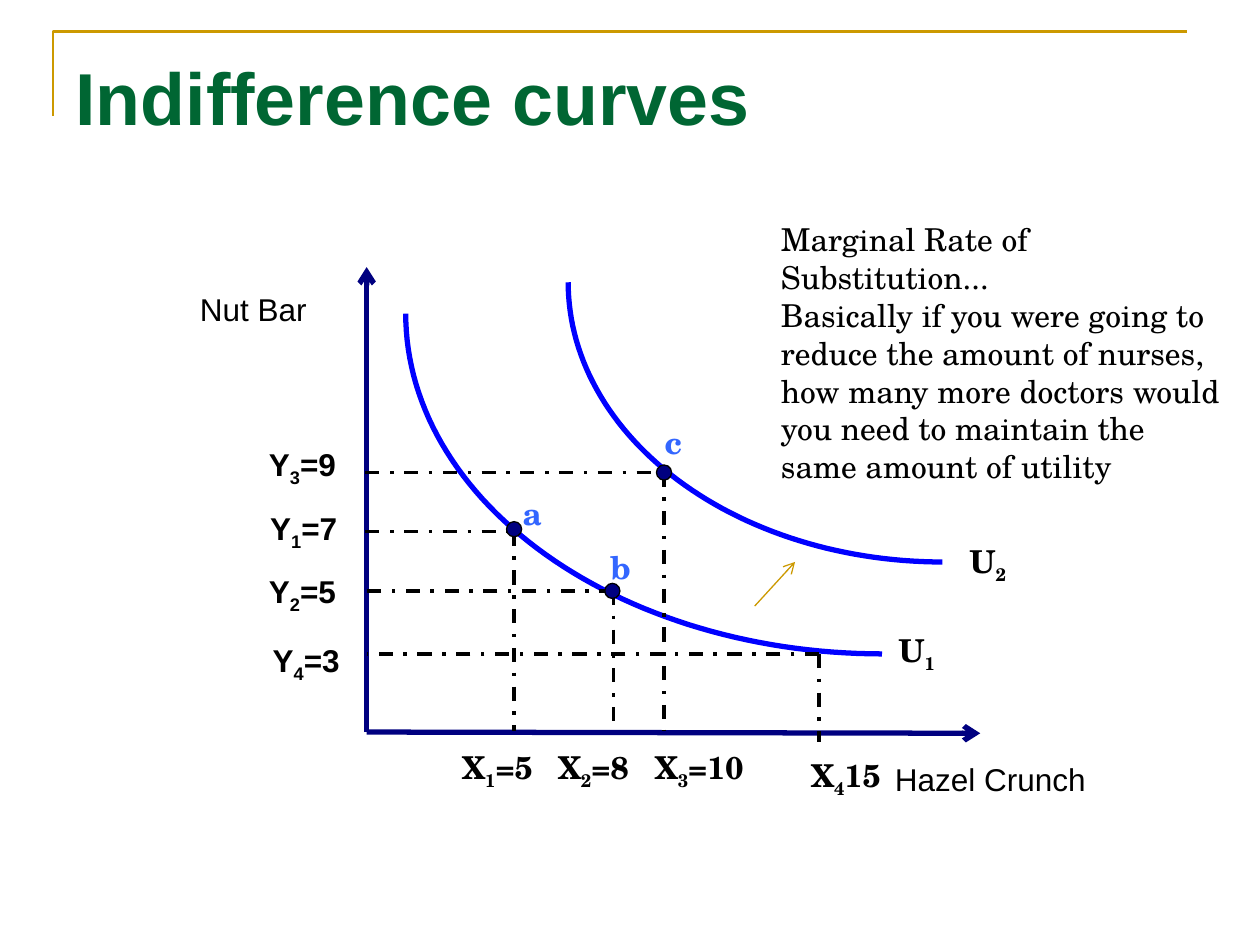
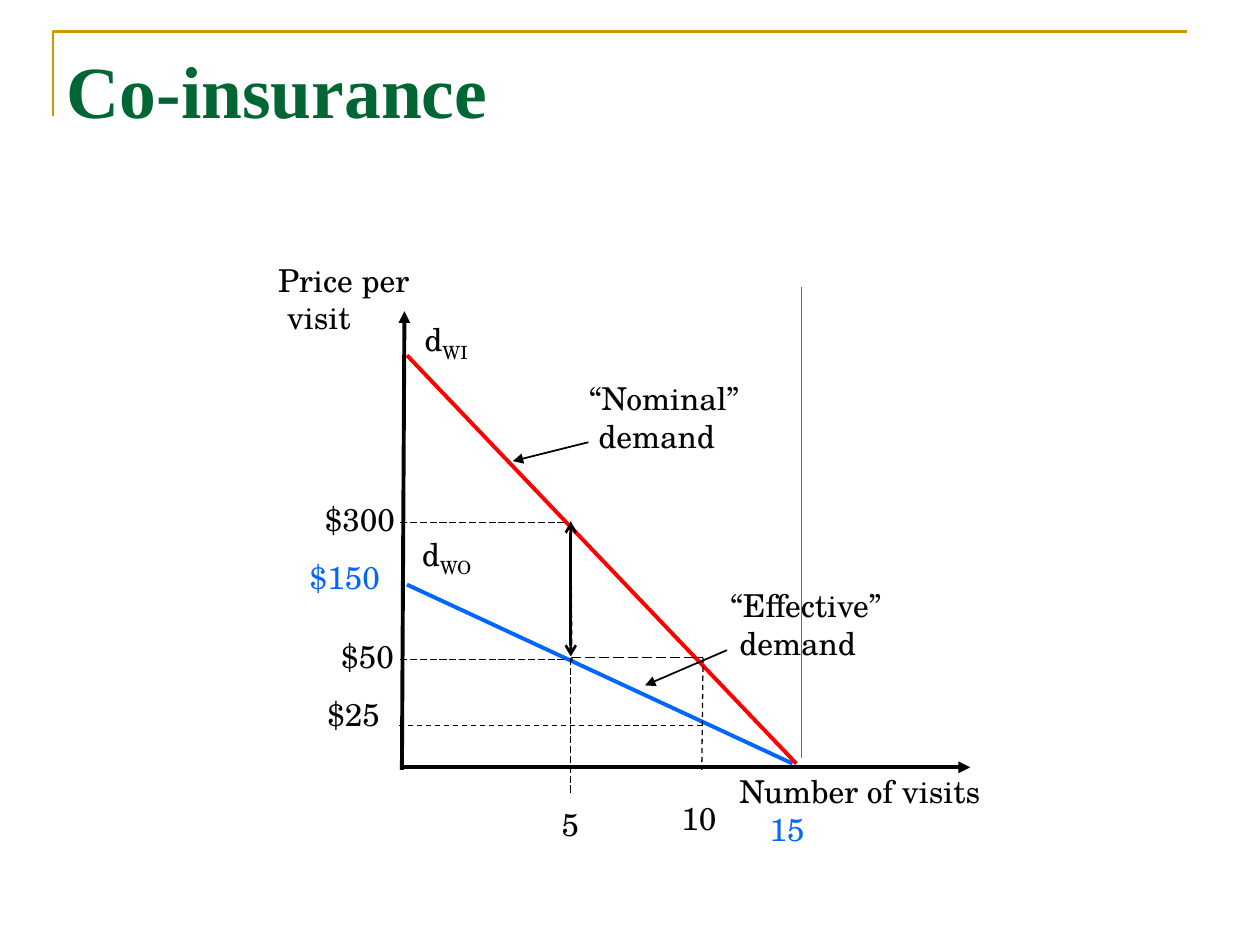
import math
from dataclasses import dataclass

from pptx import Presentation
from pptx import util as u
from pptx.dml import color as dml
from pptx.enum import dml as lines, shapes, text
from pptx.oxml import ns, xmlchemy

PX = 9144  # EMU in one px, 100 px to the inch


@dataclass(frozen=True)
class Theme:
    gold: str = "CC9900"
    green: str = "006633"
    navy: str = "000080"
    curve: str = "0000FF"
    letter: str = "3366FF"
    blue: str = "0066FF"
    red: str = "FF0000"
    pink: str = "FF00FF"
    black: str = "000000"
    ink: str = "040404"
    white: str = "FFFFFF"
    sans: str = "Arial"
    serif: str = "TeX Gyre Schola"
    roman: str = "Times New Roman"
    title_size: int = 42
    body_size: int = 18


theme = Theme()
rgb = dml.RGBColor.from_string
CENTER, LEFT = text.PP_ALIGN.CENTER, text.PP_ALIGN.LEFT
DASH, LONG = lines.MSO_LINE.DASH, lines.MSO_LINE.LONG_DASH
DASH_DOT = lines.MSO_LINE.DASH_DOT


def add_label(page, at, paragraphs, font=theme.serif, color=theme.ink, bold=False,
              align=LEFT, wrap=False, inset=(10, 5), fill=None):
    """Each paragraph is a tuple of runs; the second run is a subscript."""
    box = page.shapes.add_textbox(*(value * PX for value in at))
    if fill:
        box.fill.solid()
        box.fill.fore_color.rgb = rgb(fill)
    across, down = (value * PX for value in inset)
    frame_format = {"margin_left": across, "margin_right": across,
                    "margin_top": down, "margin_bottom": down, "word_wrap": wrap,
                    "auto_size": text.MSO_AUTO_SIZE.SHAPE_TO_FIT_TEXT}
    for name, value in frame_format.items():
        setattr(box.text_frame, name, value)
    font_format = {"name": font, "size": u.Pt(theme.body_size), "bold": bold}
    for number, runs in enumerate(paragraphs):
        para = box.text_frame.add_paragraph() if number else box.text_frame.paragraphs[0]
        para.alignment = align
        for position, words in enumerate(runs):
            span = para.add_run()
            span.text = words
            for name, value in font_format.items():
                setattr(span.font, name, value)
            span.font.color.rgb = rgb(color)
            if position == 1:
                span._r.get_or_add_rPr().set("baseline", "-25000")
    return box


def add_line(page, ends, color, width, dash=None, head=None, tail=None):
    wire = page.shapes.add_connector(shapes.MSO_CONNECTOR.STRAIGHT,
                                     *(value * PX for value in ends))
    wire.line.color.rgb = rgb(color)
    wire.line.width = u.Pt(width)
    if dash:
        wire.line.dash_style = dash
    outline = wire.element.spPr.find(ns.qn("a:ln"))
    for tag, kind in (("a:headEnd", head), ("a:tailEnd", tail)):
        if kind:
            arrow = xmlchemy.OxmlElement(tag)
            arrow.set("type", kind)
            outline.append(arrow)
    wire.element.spPr.append(xmlchemy.OxmlElement("a:effectLst"))


# Deck and titled pages
deck = Presentation()
deck.slide_width, deck.slide_height = 1000 * PX, 750 * PX
pages = []
for words, font, at in (("Indifference curves", theme.sans, (50, 30, 900, 125)),
                        ("Co-insurance", theme.roman, (43, 25, 900, 117))):
    page = deck.slides.add_slide(deck.slide_layouts[5])
    title = page.shapes.title
    for name, value in zip(("left", "top", "width", "height"), at):
        setattr(title, name, value * PX)
    frame_format = {"text": words, "vertical_anchor": text.MSO_ANCHOR.TOP,
                    "auto_size": text.MSO_AUTO_SIZE.NONE, "margin_top": 11 * PX}
    for name, value in frame_format.items():
        setattr(title.text_frame, name, value)
    para = title.text_frame.paragraphs[0]
    para.alignment = LEFT
    font_format = {"name": font, "size": u.Pt(theme.title_size), "bold": True}
    for name, value in font_format.items():
        setattr(para.runs[0].font, name, value)
    para.runs[0].font.color.rgb = rgb(theme.green)
    pages.append(page)
curves_page, insurance_page = pages

# Corner rule on the master, and the two utility curves as quarter ellipses
outlines = [([(42, 92), (42, 25), (942, 25)], theme.gold, 1.5)]
for left, top, across, down in ((451, 224, 297, 222), (322, 249, 378, 270)):
    angles = [math.pi / 2 * step / 60 for step in range(61)]
    points = [(left + across * (1 - math.cos(angle)), top + down * math.sin(angle))
              for angle in angles]
    outlines.append((points, theme.curve, 3))
drawn = []
for points, color, width in outlines:
    start, *rest = [(round(x * PX), round(y * PX)) for x, y in points]
    builder = curves_page.shapes.build_freeform(*start)
    builder.add_line_segments(rest, close=False)
    outline = builder.convert_to_shape()
    outline.shadow.inherit = False
    outline.fill.background()
    outline.line.color.rgb = rgb(color)
    outline.line.width = u.Pt(width)
    drawn.append(outline)
rule = drawn[0].element
rule.nvSpPr.cNvPr.set("id", "50")
deck.slide_master.shapes.element.append(rule)

# Indifference curves: axes and their names
add_line(curves_page, (291, 581, 778, 582), theme.navy, 3, tail="arrow")
add_line(curves_page, (291, 581, 291, 212), theme.navy, 3, tail="arrow")
plain = {"color": theme.black, "align": CENTER, "inset": (0, 0)}
add_label(curves_page, (710, 603, 152, 30), [("Hazel Crunch",)], theme.sans, **plain)
add_label(curves_page, (127, 230, 148, 30), [("Nut Bar",)], theme.sans, wrap=True, **plain)
for at, number in (((709, 430, 150, 34), "2"), ((653, 501, 149, 34), "1")):
    add_label(curves_page, at, [("U", number)], bold=True, wrap=True, **plain)

# Dash-dot guides from each bundle to both axes
for x, y, axis_x, axis_y, from_axis in ((408, 422, 290, 580, True),
                                        (487, 469, 290, 580, False),
                                        (527, 375, 290, 580, True),
                                        (650, 519, 291, 589, False)):
    level = (axis_x, y, x, y) if from_axis else (x, y, axis_x, y)
    for ends in (level, (x, y, x, axis_y)):
        add_line(curves_page, ends, theme.black, 2, DASH_DOT)

# Quantities along the axes
for at, runs, inset in (((200, 399, 82, 44), ("Y", "1", "=7"), (10, 5)),
                        ((200, 454, 80, 34), ("Y", "2", "=5"), (0, 0)),
                        ((200, 353, 80, 34), ("Y", "3", "=9"), (0, 0)),
                        ((340, 594, 110, 34), ("X", "1", "=5"), (0, 0)),
                        ((439, 594, 64, 34), ("X", "2", "=8"), (0, 0)),
                        ((511, 594, 88, 34), ("X", "3", "=10"), (0, 0)),
                        ((631, 600, 81, 34), ("X", "4", "15"), (0, 0)),
                        ((200, 509, 86, 34), ("Y", "4", "=3"), (0, 0))):
    font = theme.sans if runs[0] == "Y" else theme.serif
    add_label(curves_page, at, [runs], font, theme.black, True, CENTER, True,
              inset, theme.white)

# Bundles a, b and c
for letter, at, x, y in (("b", (478, 435, 29, 30), 486, 469),
                         ("c", (522, 336, 25, 30), 527, 375),
                         ("a", (406, 392, 33, 30), 408, 420)):
    add_label(curves_page, at, [(letter,)], color=theme.letter, bold=True,
              align=CENTER, wrap=True, inset=(0, 0))
    dot = curves_page.shapes.add_shape(shapes.MSO_SHAPE.OVAL, (x - 6) * PX, (y - 6) * PX,
                                       12 * PX, 12 * PX)
    dot.shadow.inherit = False
    dot.fill.solid()
    dot.fill.fore_color.rgb = rgb(theme.navy)
    dot.line.color.rgb = rgb(theme.black)
    dot.line.width = u.Pt(0.75)

# Direction of higher utility and the explanation
add_line(curves_page, (599, 481, 631, 446), theme.gold, 0.75, tail="arrow")
add_label(curves_page, (610, 170, 370, 220),
          [("Marginal Rate of Substitution...",),
           ("Basically if you were going to reduce the amount of nurses, how many more "
            "doctors would you need to maintain the same amount of utility",)],
          color=theme.black, wrap=True)

# Co-insurance: axes, demand lines, pointers and guides
for ends, color, width, dash, head, tail in (
        ((321, 609, 770, 609), theme.ink, 2.25, None, None, "triangle"),
        ((319, 611, 321, 247), theme.ink, 2.25, None, None, "triangle"),
        ((323, 464, 629, 606), theme.blue, 2.25, None, None, None),
        ((323, 282, 632, 606), theme.red, 2.25, None, None, None),
        ((577, 516, 512, 544), theme.black, 1, None, None, "triangle"),
        ((467, 351, 407, 366), theme.black, 1, None, None, "triangle"),
        ((453, 522, 453, 630), theme.black, 0.5, LONG, None, None),
        ((448, 523, 317, 523), theme.black, 0.5, LONG, None, None),
        ((448, 415, 317, 415), theme.black, 0.5, LONG, None, None),
        ((453, 522, 558, 522), theme.ink, 0.75, LONG, None, None),
        ((558, 522, 557, 611), theme.ink, 0.75, DASH, None, None),
        ((636, 228, 636, 602), theme.pink, 0.75, None, None, None),
        ((453, 414, 454, 525), theme.ink, 0.75, DASH, None, None),
        ((557, 576, 317, 576), theme.black, 0.75, DASH, None, None),
        ((453, 414, 453, 521), theme.black, 1.5, None, "arrow", "arrow")):
    add_line(insurance_page, ends, color, width, dash, head, tail)

# Prices, visits and curve names
for at, runs, color, wrap in (
        ((577, 608, 217, 40), ("Number of visits",), theme.ink, False),
        ((325, 420, 61, 44), ("d", "WO"), theme.ink, False),
        ((327, 249, 56, 44), ("d", "WI"), theme.ink, False),
        ((436, 634, 34, 40), ("5",), theme.ink, False),
        ((531, 629, 61, 40), ("10",), theme.ink, True),
        ((601, 638, 91, 40), ("15",), theme.blue, True),
        ((248, 392, 76, 40), ("$300",), theme.ink, False),
        ((236, 438, 91, 40), ("$150",), theme.blue, True),
        ((261, 501, 62, 40), ("$50",), theme.ink, False),
        ((250, 547, 62, 40), ("$25",), theme.ink, False)):
    add_label(insurance_page, at, [runs], color=color, wrap=wrap)

# Two-line names with an indented second line
for at, first, second in (((211, 202, 127, 70), "Price per", "visit"),
                          ((570, 460, 146, 70), "“Effective”", "demand"),
                          ((458, 296, 145, 70), "“Nominal”", "demand")):
    box = add_label(insurance_page, at, [(first,), (second,)])
    box.text_frame.paragraphs[1]._p.get_or_add_pPr().set("marL", str(7 * PX))

deck.save("out.pptx")
